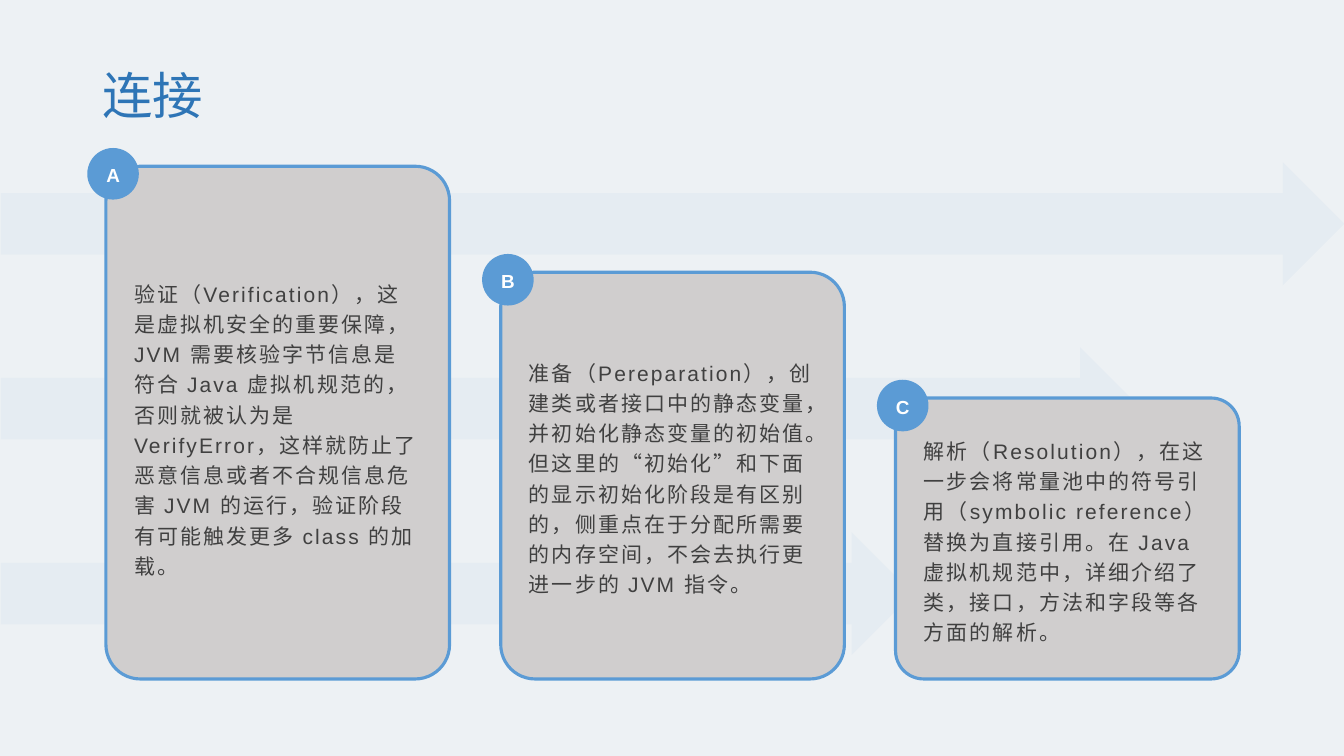
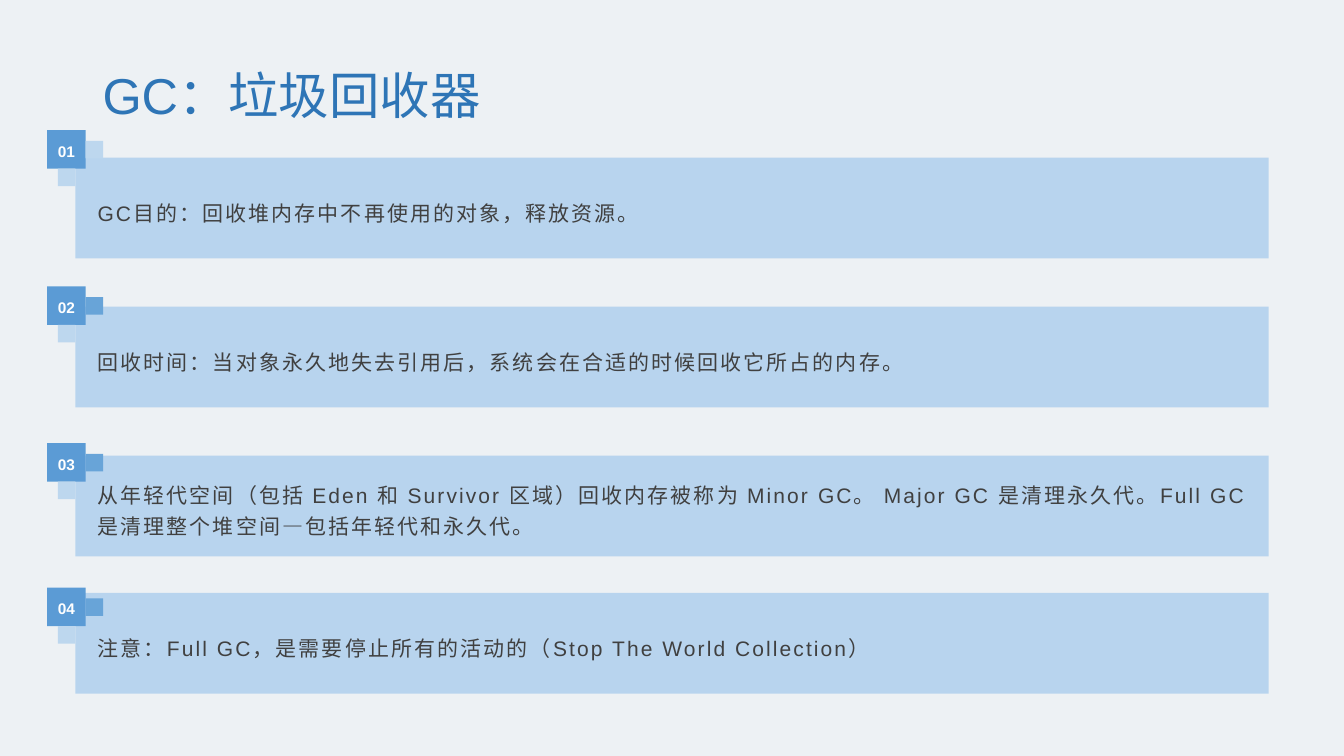
from lxml import etree
from pptx import Presentation
from pptx.dml.color import RGBColor
from pptx.enum.shapes import MSO_SHAPE as SHAPE
from pptx.enum.text import MSO_ANCHOR as ANCHOR, PP_ALIGN as ALIGN
from pptx.oxml.ns import qn
from pptx.util import Cm, Pt

# Shared style
rgb = RGBColor.from_string
BACKGROUND = "EDF1F4"
TITLE = "2E75B6"
TEXT = "404040"
WHITE = "FFFFFF"
BLUE = "5B9BD5"
MID_BLUE = "68A4D8"
PALE_BLUE = "BDD7EE"
BAND = "B8D4EE"
CARD = "D0CECE"
FONT = "Arial"


def add_box(shapes, kind, x, y, w, h, fill):
    sp = shapes.add_shape(kind, Cm(x), Cm(y), Cm(w), Cm(h))
    sp.shadow.inherit = False
    sp.fill.solid()
    sp.fill.fore_color.rgb = rgb(fill)
    sp.line.fill.background()
    return sp


def write(sp, text, size, color, line_spacing, align=ALIGN.LEFT, bold=False, tracking=0):
    tf = sp.text_frame
    tf.word_wrap = True
    tf.vertical_anchor = ANCHOR.MIDDLE
    tf.text = text
    p = tf.paragraphs[0]
    p.alignment = align
    p.line_spacing = line_spacing
    r = p.runs[0]
    r.font.name = FONT
    r.font.size = Pt(size)
    r.font.bold = bold
    r.font.color.rgb = rgb(color)
    if tracking:
        r.font._element.set("spc", str(int(tracking * 100)))


prs = Presentation()
prs.slide_width, prs.slide_height = Cm(33.87), Cm(19.05)
background = prs.slide_master.background.fill
background.solid()
background.fore_color.rgb = rgb(BACKGROUND)

# Slides with their titles
slides = []
for heading in ("连接", "GC：垃圾回收器"):
    s = prs.slides.add_slide(prs.slide_layouts[5])
    title = s.shapes.title
    title.left, title.top, title.width, title.height = Cm(2.33), Cm(1.01), Cm(29.21), Cm(2.92)
    write(title, heading, 36, TITLE, 0.9)
    slides.append(s)
linking, collector = slides

# Linking: faint arrows behind the cards
for i, width in enumerate((33.86, 28.75, 22.99)):
    arrow = add_box(linking.shapes, SHAPE.RIGHT_ARROW, 0.02, 4.09 + 4.66 * i, width, 3.1, BLUE)
    color = arrow.fill._xPr.find(qn("a:solidFill"))[0]
    etree.SubElement(color, qn("a:alpha"), val="5000")

# Linking: cards of falling height that share one bottom edge
cards = [
    ("A", 4.19, 4.8, "验证（Verification），这是虚拟机安全的重要保障，JVM 需要核验字节信息是符合 Java 虚拟机规范的，"
     "否则就被认为是 VerifyError，这样就防止了恶意信息或者不合规信息危害 JVM 的运行，"
     "验证阶段有可能触发更多 class 的加载。"),
    ("B", 6.86, 7.26, "准备（Pereparation），创建类或者接口中的静态变量，并初始化静态变量的初始值。"
     "但这里的“初始化”和下面的显示初始化阶段是有区别的，侧重点在于分配所需要的内存空间，"
     "不会去执行更进一步的 JVM 指令。"),
    ("C", 10.03, 10.44, "解析（Resolution），在这一步会将常量池中的符号引用（symbolic reference）替换为直接引用。"
     "在 Java 虚拟机规范中，详细介绍了类，接口，方法和字段等各方面的解析。"),
]
CARD_BOTTOM, TEXT_BOTTOM = 17.11, 16.74
for i, (letter, top, text_top, text) in enumerate(cards):
    x = 2.67 + 9.95 * i
    card = add_box(linking.shapes, SHAPE.ROUNDED_RECTANGLE, x, top, 8.66, CARD_BOTTOM - top, CARD)
    card.adjustments[0] = 0.1
    card.line.color.rgb = rgb(BLUE)
    card.line.width = Pt(2.25)
    body = linking.shapes.add_textbox(Cm(x + 0.46), Cm(text_top), Cm(7.72), Cm(TEXT_BOTTOM - text_top))
    write(body, text, 15, TEXT, 1.2, tracking=1.5)
    badge = add_box(linking.shapes, SHAPE.OVAL, x - 0.47, top - 0.46, 1.3, 1.3, BLUE)
    write(badge, letter, 13.5, WHITE, 1.1, ALIGN.CENTER, bold=True)

# Collector: bands with numbered badges
bands = [
    (3.97, 3.28, PALE_BLUE, "GC目的：回收堆内存中不再使用的对象，释放资源。"),
    (7.73, 7.22, MID_BLUE, "回收时间：当对象永久地失去引用后，系统会在合适的时候回收它所占的内存。"),
    (11.48, 11.17, MID_BLUE, "从年轻代空间（包括 Eden 和 Survivor 区域）回收内存被称为 Minor GC。 "
     "Major GC 是清理永久代。Full GC 是清理整个堆空间—包括年轻代和永久代。"),
    (14.94, 14.81, MID_BLUE, "注意：Full GC，是需要停止所有的活动的（Stop The World Collection）"),
]
for number, (top, badge_top, side_color, text) in enumerate(bands, 1):
    add_box(collector.shapes, SHAPE.RECTANGLE, 1.9, top, 30.07, 2.54, BAND)
    body = collector.shapes.add_textbox(Cm(2.21), Cm(top + 0.41), Cm(29.44), Cm(1.83))
    write(body, text, 15, TEXT, 1.2, tracking=1.5)

    group = collector.shapes.add_group_shape()
    badge = add_box(group.shapes, SHAPE.RECTANGLE, 1.19, badge_top, 0.97, 0.97, BLUE)
    tf = badge.text_frame
    tf.margin_left = tf.margin_right = tf.margin_top = tf.margin_bottom = 0
    write(badge, f"{number:02}", 11, WHITE, 1.2, ALIGN.CENTER, bold=True)
    add_box(group.shapes, SHAPE.RECTANGLE, 2.16, badge_top + 0.27, 0.44, 0.44, side_color)
    add_box(group.shapes, SHAPE.RECTANGLE, 1.46, badge_top + 0.97, 0.44, 0.44, PALE_BLUE)

prs.save("out.pptx")
